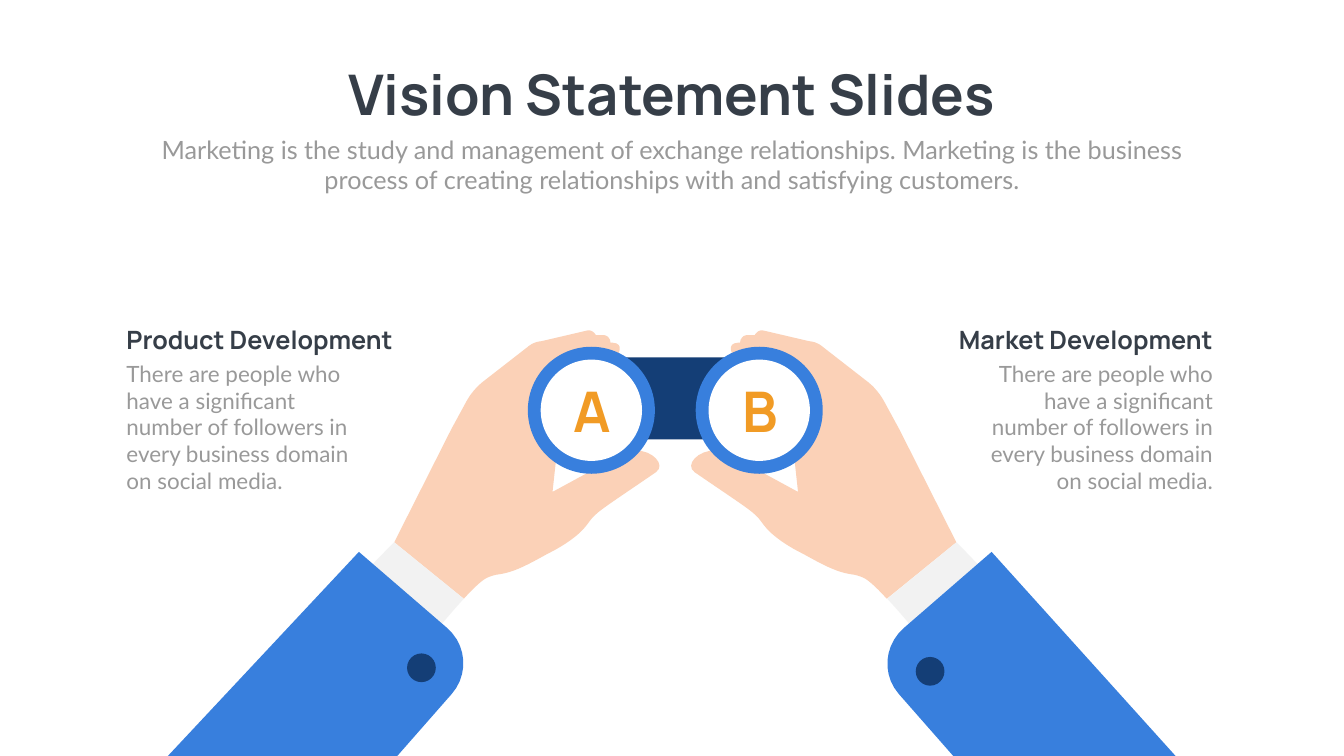
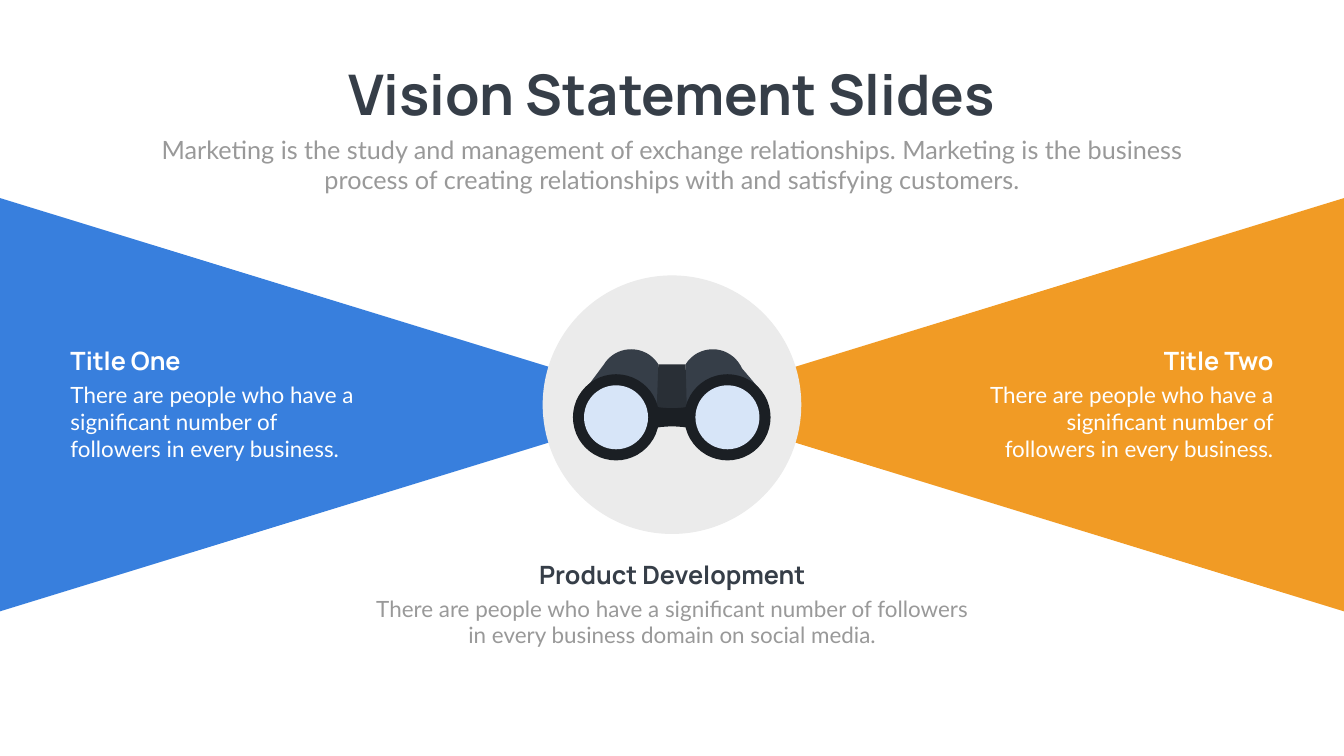
from pptx import Presentation
from pptx.dml.color import RGBColor
from pptx.enum.shapes import MSO_SHAPE
from pptx.enum.text import MSO_ANCHOR, MSO_AUTO_SIZE, PP_ALIGN
from pptx.util import Inches, Pt

LEFT, CENTER, RIGHT = PP_ALIGN.LEFT, PP_ALIGN.CENTER, PP_ALIGN.RIGHT
RECT, OVAL, TRIANGLE = MSO_SHAPE.RECTANGLE, MSO_SHAPE.OVAL, MSO_SHAPE.ISOSCELES_TRIANGLE

# Shared style
W, H = 26.66, 15
HEAD_FONT, BODY_FONT = "Manrope", "Lato"
DARK = RGBColor(0x36, 0x3E, 0x48)
GREY = RGBColor(0x99, 0x99, 0x99)
WHITE = RGBColor(0xFF, 0xFF, 0xFF)
BLUE = RGBColor(0x38, 0x7F, 0xDD)
NAVY = RGBColor(0x14, 0x3E, 0x76)
ORANGE = RGBColor(0xF1, 0x9B, 0x25)
SKIN = RGBColor(0xFB, 0xD1, 0xB7)
CUFF = RGBColor(0xF2, 0xF2, 0xF2)
DISC = RGBColor(0xEB, 0xEB, 0xEB)
BRIDGE = RGBColor(0x29, 0x2F, 0x36)
BLACK = RGBColor(0x1B, 0x1F, 0x24)
GLASS = RGBColor(0xD7, 0xE5, 0xF8)

# Content
TITLE = "Vision Statement Slides"
SUBTITLE = ("Marketing is the study and management of exchange relationships. Marketing is "
            "the business process of creating relationships with and satisfying customers.")
SHORT = "There are people who have a significant number of followers in every business."
LONG = SHORT[:-1] + " domain on social media."

# Captions: heading, text, alignment, heading (left, width), text (left, width), top, text height
VISION_CAPTIONS = [
    ("Product Development", LONG, LEFT, (2.41, 5.79), (2.41, 5.06), 6.38, 2.79),
    ("Market Development", LONG, RIGHT, (18.56, 5.59), (19.1, 5.06), 6.38, 2.79),
]
BEAM_CAPTIONS = [
    ("Title One", SHORT, LEFT, (1.3, 6.03), (1.3, 6.04), 6.81, 1.72),
    ("Title Two", SHORT, RIGHT, (19.33, 6.03), (19.32, 6.04), 6.81, 1.72),
]
CENTER_CAPTION = ("Product Development", LONG, CENTER, (9.23, 8.21), (7.35, 11.97), 11.04, 1.18)

# Outlines in inches: a pair is a straight step, six numbers are a Bézier curve
HAND = [
    (12.34, 9.01), (10.96, 9.76), (11.23, 7.28), (11.55, 7.14),
    (11.62, 7.13, 11.7, 7.12, 11.76, 7.11), (12.05, 7.15),
    (12.22, 7.19, 12.45, 6.81, 12.15, 6.8), (12.11, 6.8),
    (12.11, 6.78, 12.1, 6.76, 12.1, 6.74), (12.09, 6.73),
    (12.07, 6.68, 12.02, 6.65, 11.97, 6.65), (11.82, 6.65),
    (11.78, 6.58, 11.71, 6.54, 11.64, 6.56), (10.74, 6.77),
    (10.63, 6.78, 10.54, 6.82, 10.46, 6.89), (9.56, 7.59),
    (9.44, 7.69, 9.34, 7.81, 9.26, 7.95), (8.95, 8.52), (7.82, 10.76), (9.2, 11.88),
    (9.39, 11.67, 9.57, 11.5, 9.67, 11.46), (9.74, 11.43, 9.8, 11.41, 9.87, 11.4),
    (10.16, 11.36, 10.37, 11.26, 10.84, 11), (11.03, 10.9),
    (11.38, 10.7, 11.55, 10.54, 11.66, 10.39), (11.82, 10.16, 11.87, 10.15, 13.01, 9.37),
    (13.27, 9.19, 12.77, 8.77, 12.34, 9.01),
]
LEFT_CUFF = [(7.82, 10.76), (7.64, 10.94), (6.54, 12.07), (8.19, 13.09),
             (8.19, 13.09, 8.75, 12.37, 9.2, 11.88)]
RIGHT_CUFF = [(19.15, 10.94), (18.97, 10.76), (17.6, 11.88),
              (17.74, 12.03, 17.89, 12.2, 18.03, 12.37), (19.39, 11.19)]
LEFT_SLEEVE = [(8.87, 12.46), (7.12, 10.95), (3.33, H), (7.88, H), (8.96, 13.77),
               (9.3, 13.38, 9.26, 12.8, 8.87, 12.46)]
RIGHT_SLEEVE = [(19.67, 10.95), (17.93, 12.46), (17.54, 12.8, 17.49, 13.38, 17.83, 13.77),
                (18.91, H), (23.32, H)]
LEFT_TUBE = [(13.06, 7.23), (12.95, 7.05, 12.75, 6.93, 12.52, 6.93),
             (12.29, 6.93, 12.09, 7.05, 11.98, 7.23), (11.43, 7.97), (13.12, 8.33), (13.14, 8.09)]
RIGHT_TUBE = [(15.11, 7.77), (14.72, 7.31), (14.62, 7.09, 14.4, 6.93, 14.14, 6.93),
              (13.91, 6.93, 13.71, 7.05, 13.6, 7.23), (13.58, 8.34), (14.39, 8.38)]
HINGE = [(13.6, 7.23), (13.06, 7.23), (13.02, 8.3), (13.66, 8.35), (13.63, 8.33)]
LOWER_BRIDGE = [(13.33, 8.1), (13.14, 8.1, 12.95, 8.07, 12.77, 8.01), (12.77, 8.55),
                (13.14, 8.43, 13.52, 8.43, 13.89, 8.55), (13.89, 8.01),
                (13.7, 8.07, 13.52, 8.1, 13.33, 8.1)]
HANDS_AXIS = 13.395


def write(sp, text, size, color, font=BODY_FONT, bold=False, align=LEFT, wrap=True):
    tf = sp.text_frame
    tf.word_wrap = wrap
    tf.auto_size = MSO_AUTO_SIZE.NONE
    tf.vertical_anchor = MSO_ANCHOR.TOP
    p = tf.paragraphs[0]
    p.alignment = align
    p.space_before = Pt(0)
    r = p.add_run()
    r.text = text
    r.font.name, r.font.size, r.font.bold = font, Pt(size), bold
    r.font.color.rgb = color


def place(sp, x, y, w, h):
    sp.left, sp.top, sp.width, sp.height = (Inches(v) for v in (x, y, w, h))


def textbox(s, box, text, size, color, **fmt):
    write(s.shapes.add_textbox(*map(Inches, box)), text, size, color, **fmt)


def paint(sp, color):
    sp.shadow.inherit = False
    sp.fill.solid()
    sp.fill.fore_color.rgb = color
    sp.line.fill.background()
    return sp


def block(s, kind, x, y, w, h, color):
    return paint(s.shapes.add_shape(kind, *map(Inches, (x, y, w, h))), color)


def circle(s, cx, cy, d, color):
    block(s, OVAL, cx - d / 2, cy - d / 2, d, d, color)


def curve(start, step, parts=10):
    """Points along a cubic Bézier curve, without its start."""
    ctrl = [start, step[:2], step[2:4], step[4:]]
    for i in range(1, parts + 1):
        t = i / parts
        weights = ((1 - t) ** 3, 3 * t * (1 - t) ** 2, 3 * t * t * (1 - t), t ** 3)
        yield tuple(sum(k * c[axis] for k, c in zip(weights, ctrl)) for axis in (0, 1))


def outline(s, steps, color, axis=None):
    """Closed outline, reflected about x = axis when one is given."""
    points = [steps[0]]
    for step in steps[1:]:
        points += [step] if len(step) == 2 else curve(points[-1], step)
    if axis:
        points = [(2 * axis - x, y) for x, y in points]
    points = [(x * 1000, y * 1000) for x, y in points]
    builder = s.shapes.build_freeform(*points[0], scale=Inches(1) / 1000)
    builder.add_line_segments(points[1:], close=True)
    paint(builder.convert_to_shape(), color)


def caption(s, content, head_color=DARK, body_color=GREY):
    head, body, align, (hx, hw), (bx, bw), y, h = content
    textbox(s, (hx, y, hw, 0.71), head, 36, head_color, font=HEAD_FONT, bold=True, align=align)
    textbox(s, (bx, y + 0.71, bw, h), body, 32, body_color, align=align)


def new_slide(prs):
    s = prs.slides.add_slide(prs.slide_layouts[0])
    title, subtitle = s.placeholders
    place(title, (W - 13.84) / 2, 1.14, 13.84, 1.45)
    write(title, TITLE, 80, DARK, font=HEAD_FONT, bold=True, align=CENTER, wrap=False)
    place(subtitle, (W - 20.82) / 2, 2.61, 20.82, 1.31)
    write(subtitle, SUBTITLE, 36, GREY, align=CENTER)
    return s


def hands_slide(prs):
    s = new_slide(prs)
    block(s, RECT, 11.55, 7.09, 3.37, 1.63, NAVY)
    # Arms, each with its eyepiece
    arms = [
        ("A", None, LEFT_CUFF, LEFT_SLEEVE, (8.36, 13.25), 11.73),
        ("B", HANDS_AXIS, RIGHT_CUFF, RIGHT_SLEEVE, (18.45, 13.32), 15.06),
    ]
    for letter, axis, cuff, sleeve, button, eye in arms:
        outline(s, HAND, SKIN, axis)
        outline(s, cuff, CUFF)
        outline(s, sleeve, BLUE)
        circle(s, *button, 0.57, NAVY)
        circle(s, eye, 8.14, 2.52, BLUE)
        circle(s, eye, 8.14, 2.01, WHITE)
        textbox(s, (eye - 0.74, 7.42, 1.52, 1.45), letter, 80, ORANGE,
                font=HEAD_FONT, bold=True, align=CENTER)
    for content in VISION_CAPTIONS:
        caption(s, content)


def beams_slide(prs):
    s = new_slide(prs)
    # Two beams that meet in the middle
    base, length, middle = 8.2, W / 2, 8.03
    for cx, turn, color in ((W * 3 / 4, 270, ORANGE), (W / 4, 90, BLUE)):
        beam = block(s, TRIANGLE, cx - base / 2, middle - length / 2, base, length, color)
        beam.rotation = turn
        # Beams lie behind the title
        s.shapes[0].element.addprevious(beam.element)
    circle(s, W / 2, middle, 5.13, DISC)
    caption(s, CENTER_CAPTION)
    for content in BEAM_CAPTIONS:
        caption(s, content, WHITE, WHITE)
    # Binoculars
    for steps, color in ((LEFT_TUBE, DARK), (RIGHT_TUBE, DARK),
                         (HINGE, BRIDGE), (LOWER_BRIDGE, BLACK)):
        outline(s, steps, color)
    for cx in (12.22, 14.43):
        circle(s, cx, 8.28, 1.71, BLACK)
        circle(s, cx, 8.28, 1.27, GLASS)


def main():
    prs = Presentation()
    prs.slide_width, prs.slide_height = Inches(W), Inches(H)
    hands_slide(prs)
    beams_slide(prs)
    prs.save("out.pptx")


if __name__ == "__main__":
    main()
